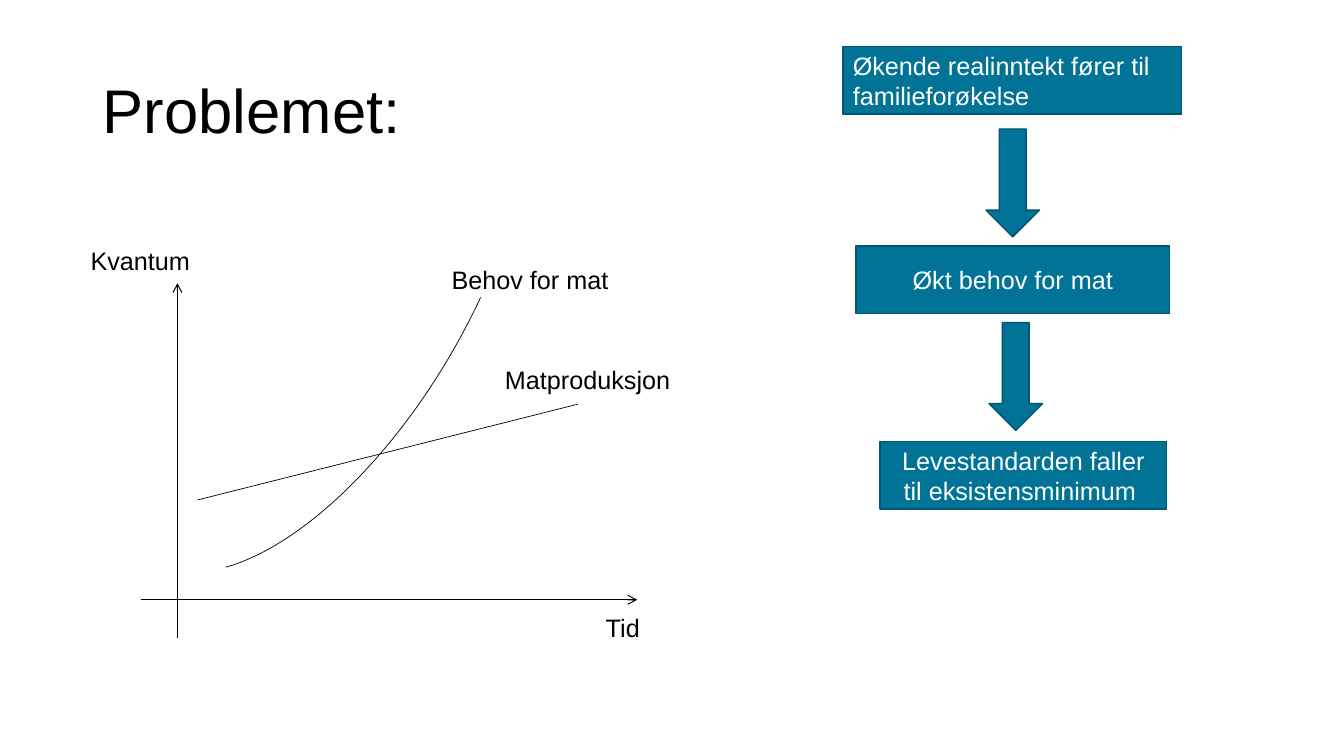
from dataclasses import dataclass

from lxml import etree
from pptx import Presentation
from pptx.dml.color import RGBColor
from pptx.enum import shapes, text
from pptx.oxml import ns
from pptx.slide import Slide
from pptx.util import Inches, Pt


@dataclass(frozen=True)
class Theme:
    font: str = "Arial"
    ink: RGBColor = RGBColor(0x00, 0x00, 0x00)
    paper: RGBColor = RGBColor(0xFF, 0xFF, 0xFF)
    box_fill: RGBColor = RGBColor(0x00, 0x73, 0x96)
    box_edge: RGBColor = RGBColor(0x00, 0x55, 0x6F)
    title_size: float = 44
    body_size: float = 18
    axis_width: float = 0.75
    curve_width: float = 0.5
    edge_width: float = 1


@dataclass(frozen=True)
class Line:
    start: tuple[float, float]
    end: tuple[float, float]
    width: float
    arrow: bool = False


@dataclass(frozen=True)
class Label:
    words: str
    left: float
    top: float
    width: float
    wrap: bool = True


@dataclass(frozen=True)
class Step:
    words: str
    left: float
    top: float
    width: float
    align: text.PP_ALIGN = text.PP_ALIGN.CENTER


THEME = Theme()
LABEL_HEIGHT = 0.4
STEP_HEIGHT = 0.67
ARROW_WIDTH, ARROW_HEIGHT = 0.53, 1.07

LINES = (
    Line((1.4, 5.95), (6.32, 5.95), THEME.axis_width, arrow=True),
    Line((1.76, 6.33), (1.76, 2.81), THEME.axis_width, arrow=True),
    Line((1.96, 4.96), (5.73, 4.01), THEME.curve_width),
)
LABELS = (
    Label("Tid", 5.91, 6.03, 1),
    Label("Kvantum", 0.8, 2.38, 1.2, wrap=False),
    Label("Behov for mat", 4.38, 2.57, 1.89),
    Label("Matproduksjon", 4.91, 3.57, 1.89),
)
STEPS = (
    Step("Økende realinntekt fører til familieforøkelse", 8.36, 0.46, 3.36, text.PP_ALIGN.LEFT),
    Step("Økt behov for mat", 8.49, 2.44, 3.11),
    Step("Levestandarden faller til eksistensminimum ", 8.73, 4.38, 2.84),
)
ARROWS = ((9.78, 1.28), (9.81, 3.2))


def write(frame, words: str, size: float, color: RGBColor, align=text.PP_ALIGN.LEFT):
    """Put one formatted paragraph in a text frame and return it."""
    frame.text = words
    paragraph = frame.paragraphs[0]
    paragraph.alignment = align
    paragraph.font.name = THEME.font
    paragraph.font.size = Pt(size)
    paragraph.font.color.rgb = color
    return paragraph


def add_title(slide: Slide) -> None:
    title = slide.shapes.title
    title.left, title.top = Inches(0.92), Inches(0.4)
    title.width, title.height = Inches(11.5), Inches(1.45)
    frame = title.text_frame
    frame.auto_size = text.MSO_AUTO_SIZE.NONE
    frame.vertical_anchor = text.MSO_ANCHOR.MIDDLE
    write(frame, "Problemet:", THEME.title_size, THEME.ink).line_spacing = 0.9


def add_line(slide: Slide, line: Line) -> None:
    connector = slide.shapes.add_connector(
        shapes.MSO_CONNECTOR.STRAIGHT, *map(Inches, line.start + line.end))
    connector.line.color.rgb = THEME.ink
    connector.line.width = Pt(line.width)
    if line.arrow:
        etree.SubElement(connector.line._get_or_add_ln(), ns.qn("a:tailEnd"), type="arrow")
    etree.SubElement(connector._element.spPr, ns.qn("a:effectLst"))


def add_demand_curve(slide: Slide) -> None:
    curve = slide.shapes.add_shape(
        shapes.MSO_SHAPE.ARC, Inches(-0.16), Inches(1.17), Inches(6.6), Inches(3.1))
    curve.adjustments[0], curve.adjustments[1] = 148.77, 208.26
    curve.rotation = 120.1
    curve.shadow.inherit = False
    curve.fill.background()
    curve.line.color.rgb = THEME.ink
    curve.line.width = Pt(THEME.curve_width)


def add_label(slide: Slide, label: Label) -> None:
    frame = slide.shapes.add_textbox(
        Inches(label.left), Inches(label.top), Inches(label.width), Inches(LABEL_HEIGHT)).text_frame
    frame.word_wrap = label.wrap
    frame.auto_size = text.MSO_AUTO_SIZE.SHAPE_TO_FIT_TEXT
    write(frame, label.words, THEME.body_size, THEME.ink)


def add_block(slide: Slide, kind: shapes.MSO_SHAPE, left: float, top: float,
              width: float, height: float):
    """Add a preset shape in the colours of the flow chart."""
    block = slide.shapes.add_shape(kind, Inches(left), Inches(top), Inches(width), Inches(height))
    block.shadow.inherit = False
    block.fill.solid()
    block.fill.fore_color.rgb = THEME.box_fill
    block.line.color.rgb = THEME.box_edge
    block.line.width = Pt(THEME.edge_width)
    return block


def add_step(slide: Slide, step: Step) -> None:
    frame = add_block(slide, shapes.MSO_SHAPE.FLOWCHART_PROCESS,
                      step.left, step.top, step.width, STEP_HEIGHT).text_frame
    frame.word_wrap = True
    frame.vertical_anchor = text.MSO_ANCHOR.MIDDLE
    write(frame, step.words, THEME.body_size, THEME.paper, step.align)


def main() -> None:
    presentation = Presentation()
    presentation.slide_width, presentation.slide_height = Inches(13.33), Inches(7.5)
    title_only = presentation.slide_layouts.get_by_name("Title Only")
    slide = presentation.slides.add_slide(title_only)
    add_title(slide)
    for line in LINES:
        add_line(slide, line)
    add_demand_curve(slide)
    for label in LABELS:
        add_label(slide, label)
    for step in STEPS:
        add_step(slide, step)
    for left, top in ARROWS:
        add_block(slide, shapes.MSO_SHAPE.DOWN_ARROW, left, top, ARROW_WIDTH, ARROW_HEIGHT)
    presentation.save("out.pptx")


if __name__ == "__main__":
    main()
